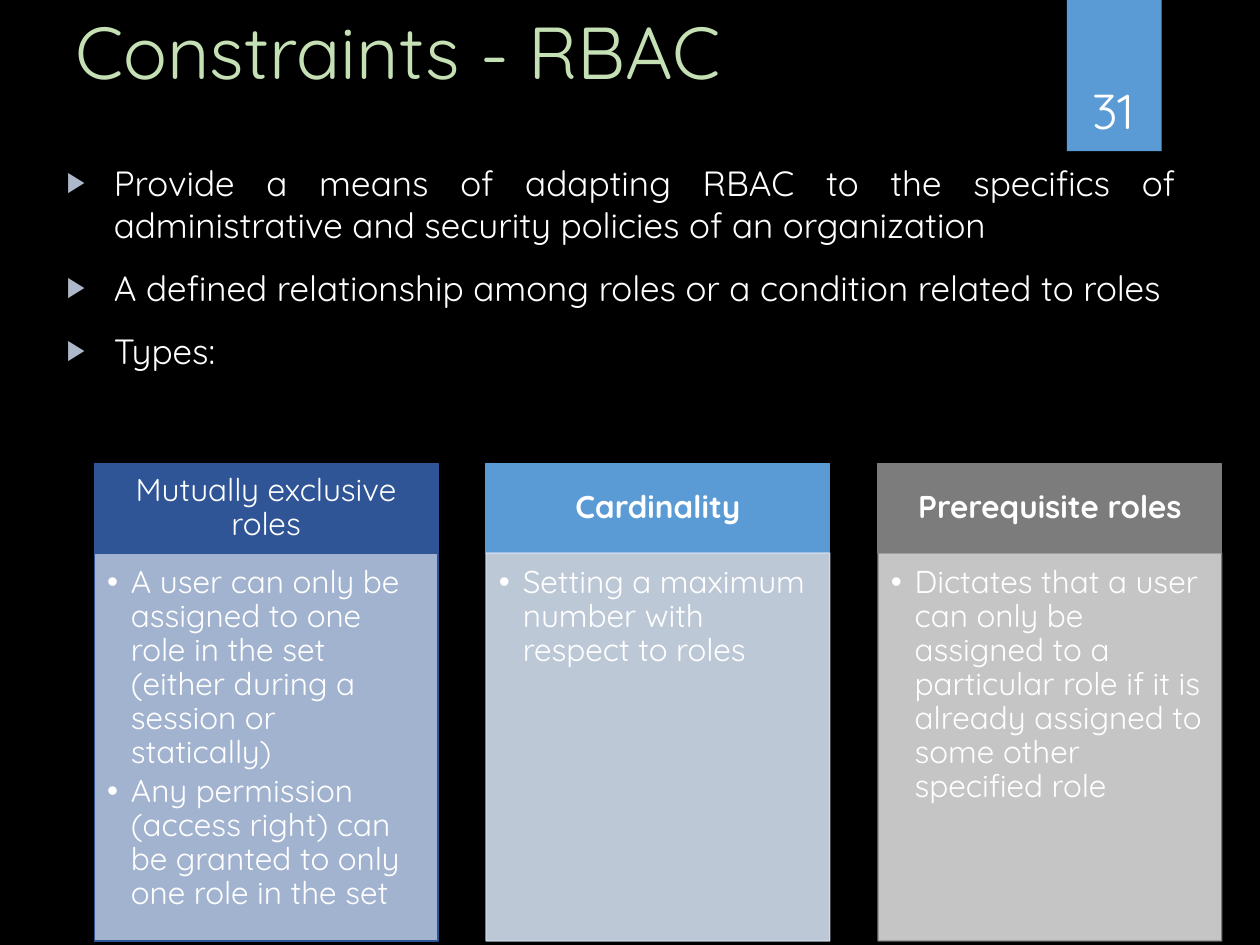
from dataclasses import dataclass

import pptx
import pptx.dml.color
import pptx.enum.shapes
import pptx.enum.text
import pptx.oxml.ns
import pptx.util
from lxml import etree
from pptx.util import Cm, Pt

ALIGN = pptx.enum.text.PP_ALIGN
ANCHOR = pptx.enum.text.MSO_ANCHOR

COLORS = {
    "background": "000000", "text": "FFFFFF", "title": "C5E0B4", "bullet": "ADB9CA",
    "navy": "2F5597", "blue": "5B9BD5", "gray": "7C7C7C",
    "pale navy": "B4C7E7", "pale blue": "D2DEEF", "pale gray": "DBDBDB",
}
FONT = "Quicksand"


@dataclass
class Box:
    left: float
    top: float
    width: float
    height: float

    def lengths(self) -> list:
        return [Cm(value) for value in (self.left, self.top, self.width, self.height)]


@dataclass
class Card:
    heading: str
    points: list[str]
    fill: str
    body_fill: str
    border: str
    border_opacity: int = 90
    bold: bool = True


CARDS = [
    Card("Mutually exclusive roles",
         ["A user can only be assigned to one role in the set "
          "(either during a session or statically)",
          "Any permission (access right) can be granted to only one role in the set"],
         "navy", "pale navy", "navy", border_opacity=100, bold=False),
    Card("Cardinality", ["Setting a maximum number with respect to roles"],
         "blue", "pale blue", "pale blue"),
    Card("Prerequisite roles",
         ["Dictates that a user can only be assigned to a particular role "
          "if it is already assigned to some other specified role"],
         "gray", "pale gray", "gray"),
]
STATEMENTS = [
    "Provide a means of adapting RBAC to the specifics of administrative "
    "and security policies of an organization",
    "A defined relationship among roles or a condition related to roles",
    "Types:",
]


def rgb(name: str) -> pptx.dml.color.RGBColor:
    return pptx.dml.color.RGBColor.from_string(COLORS[name])


def apply_format(target, values: dict) -> None:
    for name, value in values.items():
        setattr(target, name, value)


def add_element(parent, tag: str, **attributes: str) -> None:
    etree.SubElement(parent, pptx.oxml.ns.qn(tag), attributes)


def set_bullet(paragraph, character: str, color: str, percent: int, indent: float) -> None:
    properties = paragraph._p.get_or_add_pPr()
    properties.set("marL", str(Cm(indent)))
    properties.set("indent", str(-Cm(indent)))
    add_element(properties, "a:buClr")
    add_element(properties[-1], "a:srgbClr", val=COLORS[color])
    add_element(properties, "a:buSzPct", val=str(percent * 1000))
    add_element(properties, "a:buFont", typeface="Arial")
    add_element(properties, "a:buChar", char=character)


def write(shape, texts: list[str], size: float, frame: dict, paragraph_format: dict,
          color: str = "text", bold: bool = False, bullet: tuple | None = None,
          gap_before: float = 0) -> None:
    text_frame = shape.text_frame
    apply_format(text_frame, {"word_wrap": True,
                              "auto_size": pptx.enum.text.MSO_AUTO_SIZE.NONE, **frame})
    for index, text in enumerate(texts):
        paragraph = text_frame.add_paragraph() if index else text_frame.paragraphs[0]
        if bullet:
            set_bullet(paragraph, *bullet)
        apply_format(paragraph, {"space_before": Pt(gap_before if index else 0),
                                 **paragraph_format})
        run = paragraph.add_run()
        run.text = text
        apply_format(run.font, {"name": FONT, "size": Pt(size), "bold": bold})
        run.font.color.rgb = rgb(color)


def add_rectangle(slide, box: Box, fill: str, border: str | None = None,
                  opacity: int = 100, border_opacity: int = 100):
    shape = slide.shapes.add_shape(pptx.enum.shapes.MSO_SHAPE.RECTANGLE, *box.lengths())
    shape.shadow.inherit = False
    shape.fill.solid()
    shape.fill.fore_color.rgb = rgb(fill)
    if border:
        shape.line.color.rgb = rgb(border)
        shape.line.width = Pt(0.75)
    else:
        shape.line.fill.background()
    # Fill colour comes first, border colour second
    colors = shape._element.spPr.iter(pptx.oxml.ns.qn("a:srgbClr"))
    for color, percent in zip(list(colors), (opacity, border_opacity)):
        if percent < 100:
            add_element(color, "a:alpha", val=str(percent * 1000))
    return shape


def margins(left: float, top: float, right: float, bottom: float) -> dict:
    return {"margin_left": Cm(left), "margin_top": Cm(top),
            "margin_right": Cm(right), "margin_bottom": Cm(bottom)}


def add_card(slide, card: Card, left: float) -> None:
    width, top, heading_height = 6.93, 9.35, 1.8
    heading = add_rectangle(slide, Box(left, top, width, heading_height),
                            card.fill, card.fill)
    write(heading, [card.heading], 18,
          {"vertical_anchor": ANCHOR.MIDDLE, **margins(0.36, 0.2, 0.36, 0.2)},
          {"alignment": ALIGN.CENTER, "line_spacing": 0.9}, bold=card.bold)
    body = add_rectangle(slide, Box(left, top + heading_height, width, 7.82),
                         card.body_fill, card.border, 90, card.border_opacity)
    write(body, card.points, 18,
          {"vertical_anchor": ANCHOR.TOP, **margins(0.26, 0.26, 0.36, 0.4)},
          {"alignment": ALIGN.LEFT, "line_spacing": 0.9, "space_after": Pt(3)},
          bullet=("•", "text", 100, 0.48))


def place(shape, box: Box) -> None:
    apply_format(shape, dict(zip(("left", "top", "width", "height"), box.lengths())))


def main() -> None:
    presentation = pptx.Presentation()
    presentation.slide_width, presentation.slide_height = Cm(25.4), Cm(19.05)
    slide = presentation.slides.add_slide(presentation.slide_layouts[1])
    slide.background.fill.solid()
    slide.background.fill.fore_color.rgb = rgb("background")

    # Title and statements
    title, body = slide.placeholders
    place(title, Box(1.27, 0, 22.86, 3.12))
    write(title, ["Constraints - RBAC"], 42, {"vertical_anchor": ANCHOR.TOP},
          {"alignment": ALIGN.LEFT}, color="title")
    place(body, Box(1.09, 3.12, 22.86, 13.97))
    write(body, STATEMENTS, 20, {"vertical_anchor": ANCHOR.TOP},
          {"alignment": ALIGN.JUSTIFY}, bullet=("▶", "bullet", 80, 0.95), gap_before=12)

    # Page number tab
    add_rectangle(slide, Box(21.51, 0, 1.91, 3.05), "blue")
    number = slide.shapes.add_textbox(*Box(21.56, 0.81, 1.75, 2.13).lengths())
    write(number, ["31"], 28, {"vertical_anchor": ANCHOR.BOTTOM},
          {"alignment": ALIGN.CENTER})

    # Constraint types
    for index, card in enumerate(CARDS):
        add_card(slide, card, 1.9 + index * 7.9)

    presentation.save("out.pptx")


if __name__ == "__main__":
    main()
